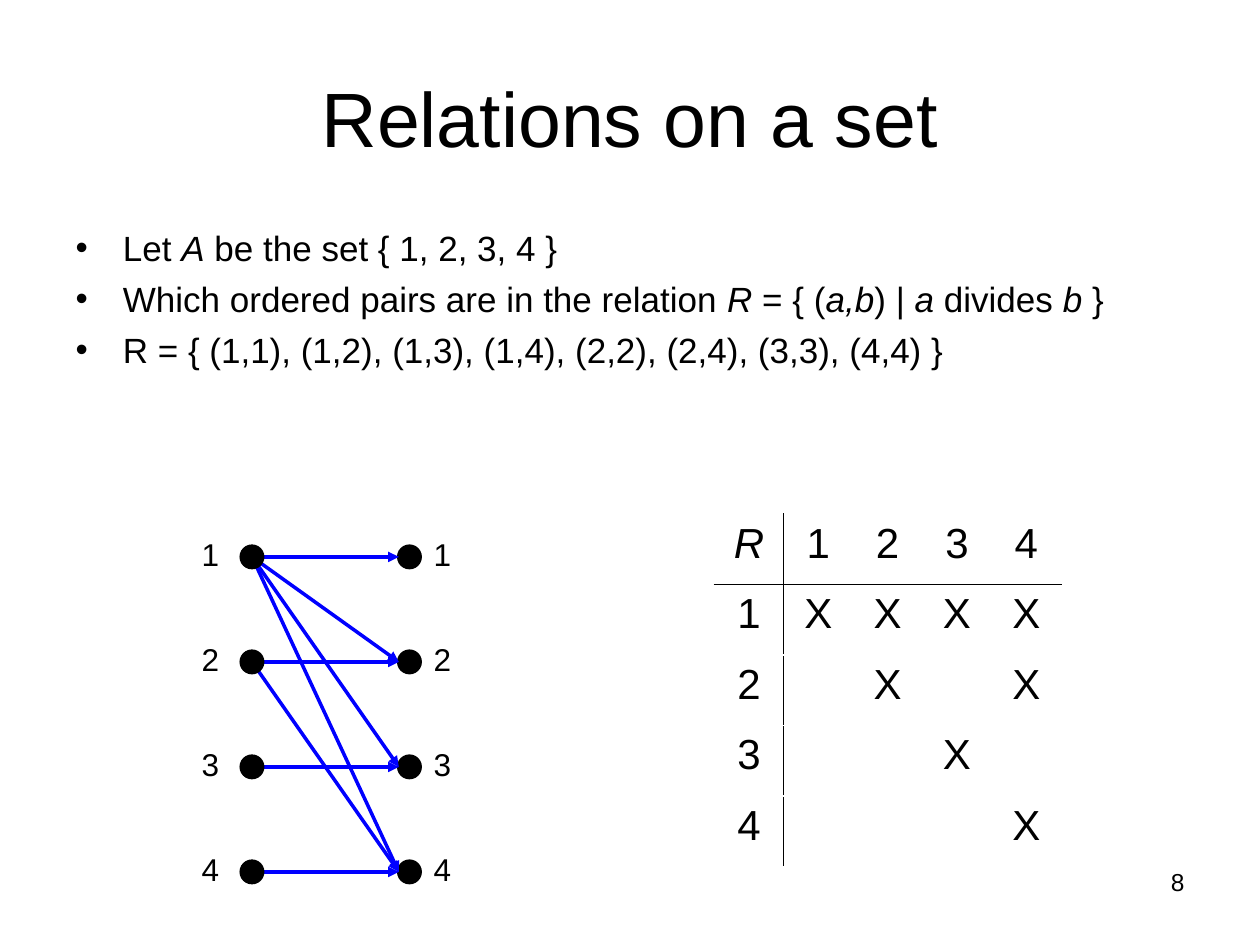
from lxml.etree import SubElement
from pptx import Presentation
from pptx.dml.color import RGBColor
from pptx.enum.shapes import MSO_CONNECTOR, MSO_SHAPE
from pptx.enum.text import MSO_ANCHOR, MSO_AUTO_SIZE, PP_ALIGN
from pptx.oxml.ns import qn
from pptx.util import Inches, Pt

# Content: asterisks enclose italic words
TITLE = "Relations on a set"
LINES = [
    "Let *A* be the set { 1, 2, 3, 4 }",
    "Which ordered pairs are in the relation *R* = { (*a,b*) | *a* divides *b* }",
    "R = { (1,1), (1,2), (1,3), (1,4), (2,2), (2,4), (3,3), (4,4) }",
]
ITEMS = [1, 2, 3, 4]
PAIRS = [(1, 1), (2, 2), (3, 3), (4, 4), (1, 2), (1, 3), (1, 4), (2, 4)]
NUMBER = "8"
COLORS = {"ink": "000000", "arrow": "0000FF"}
FONT = "Arial"

# Layout, in inches
WIDE, HIGH = 10, 7.5
MARGIN = WIDE / 20
TOP, STEP = 4.42, HIGH / 9
DOT = 0.17
LEFT, RIGHT = 2, 3.25
CELL_W, CELL_H = 0.55, 0.56


def color(name):
    return RGBColor.from_string(COLORS[name])


def style(par, size, align):
    par.alignment = align
    for run in par.runs:
        run.font.name = FONT
        run.font.size = Pt(size)
        run.font.color.rgb = color("ink")


def place(shape, *box):
    shape.left, shape.top, shape.width, shape.height = map(Inches, box)


def row_y(item):
    return TOP + (item - 1) * STEP


def add_nodes(slide, x, label_x):
    """One column of the graph: number labels and dots."""
    group = slide.shapes.add_group_shape().shapes
    box = group.add_textbox(Inches(label_x), Inches(4.08), Inches(0.34), Inches(3.04))
    frame = box.text_frame
    frame.word_wrap = False
    frame.text = "\n".join(map(str, ITEMS))
    for par in frame.paragraphs:
        style(par, 18, PP_ALIGN.CENTER)
        par.line_spacing = Pt(30)
        par.space_after = Pt(STEP * 72 - 30)
    for item in ITEMS:
        dot = group.add_shape(MSO_SHAPE.OVAL, Inches(x - DOT / 2),
                              Inches(row_y(item) - DOT / 2), Inches(DOT), Inches(DOT))
        dot.shadow.inherit = False
        dot.fill.solid()
        dot.fill.fore_color.rgb = color("ink")
        dot.line.color.rgb = color("ink")
        dot.line.width = Pt(2)


def add_arrows(slide):
    group = slide.shapes.add_group_shape().shapes
    for start, end in PAIRS:
        line = group.add_connector(MSO_CONNECTOR.STRAIGHT, Inches(LEFT), Inches(row_y(start)),
                                   Inches(RIGHT - DOT / 2), Inches(row_y(end)))
        line.line.color.rgb = color("arrow")
        line.line.width = Pt(2)
        SubElement(line.line._get_or_add_ln(), qn("a:tailEnd"), type="triangle")
        SubElement(line._element.spPr, qn("a:effectLst"))


def add_borders(cell, sides):
    props = cell._tc.get_or_add_tcPr()
    for side in sides:
        edge = SubElement(props, qn("a:ln" + side), w=str(Pt(0.45)))
        fill = SubElement(edge, qn("a:solidFill"))
        SubElement(fill, qn("a:srgbClr"), val=COLORS["ink"])


def add_matrix(slide):
    heads = ["R"] + [str(item) for item in ITEMS]
    rows = [heads] + [
        [str(a)] + ["X" if (a, b) in PAIRS else "" for b in ITEMS] for a in ITEMS
    ]
    count = len(heads)
    table = slide.shapes.add_table(count, count, Inches(5.67), Inches(4.08),
                                   Inches(CELL_W * count), Inches(CELL_H * count)).table
    table.first_row = table.horz_banding = False
    for i, row in enumerate(rows):
        table.rows[i].height = Inches(CELL_H)
        table.columns[i].width = Inches(CELL_W)
        for j, text in enumerate(row):
            cell = table.cell(i, j)
            # Rules right of the first column and below the first row
            sides = {0: ["R"], 1: ["L"]}.get(j, []) + {0: ["B"], 1: ["T"]}.get(i, [])
            add_borders(cell, sides)
            cell.fill.background()
            if text:
                cell.text_frame.text = text
                par = cell.text_frame.paragraphs[0]
                par.space_before = Pt(6)
                style(par, 24, PP_ALIGN.CENTER)
                par.runs[0].font.italic = text == "R"


def add_text(slide):
    title, body = slide.placeholders
    place(title, MARGIN, 0.3, WIDE - 2 * MARGIN, 1.25)
    title.text_frame.text = TITLE
    title.text_frame.vertical_anchor = MSO_ANCHOR.MIDDLE
    style(title.text_frame.paragraphs[0], 44, PP_ALIGN.CENTER)

    place(body, MARGIN, 1.75, WIDE - 2 * MARGIN, 4.95)
    frame = body.text_frame
    frame.auto_size = MSO_AUTO_SIZE.NONE
    for i, line in enumerate(LINES):
        par = frame.add_paragraph() if i else frame.paragraphs[0]
        for k, part in enumerate(line.split("*")):
            run = par.add_run()
            run.text = part
            run.font.italic = k % 2 == 1
        style(par, 20, PP_ALIGN.JUSTIFY)
        par.space_before = Pt(5)

    # Page number
    box = slide.shapes.add_textbox(Inches(7.17), Inches(6.83), Inches(2.33), Inches(0.52))
    box.text_frame.word_wrap = True
    box.text_frame.text = NUMBER
    style(box.text_frame.paragraphs[0], 14, PP_ALIGN.RIGHT)


def main():
    deck = Presentation()
    deck.slide_width, deck.slide_height = Inches(WIDE), Inches(HIGH)
    slide = deck.slides.add_slide(deck.slide_layouts[1])
    add_text(slide)
    add_nodes(slide, RIGHT, 3.34)
    add_arrows(slide)
    add_nodes(slide, LEFT, 1.5)
    add_matrix(slide)
    deck.save("out.pptx")


if __name__ == "__main__":
    main()
